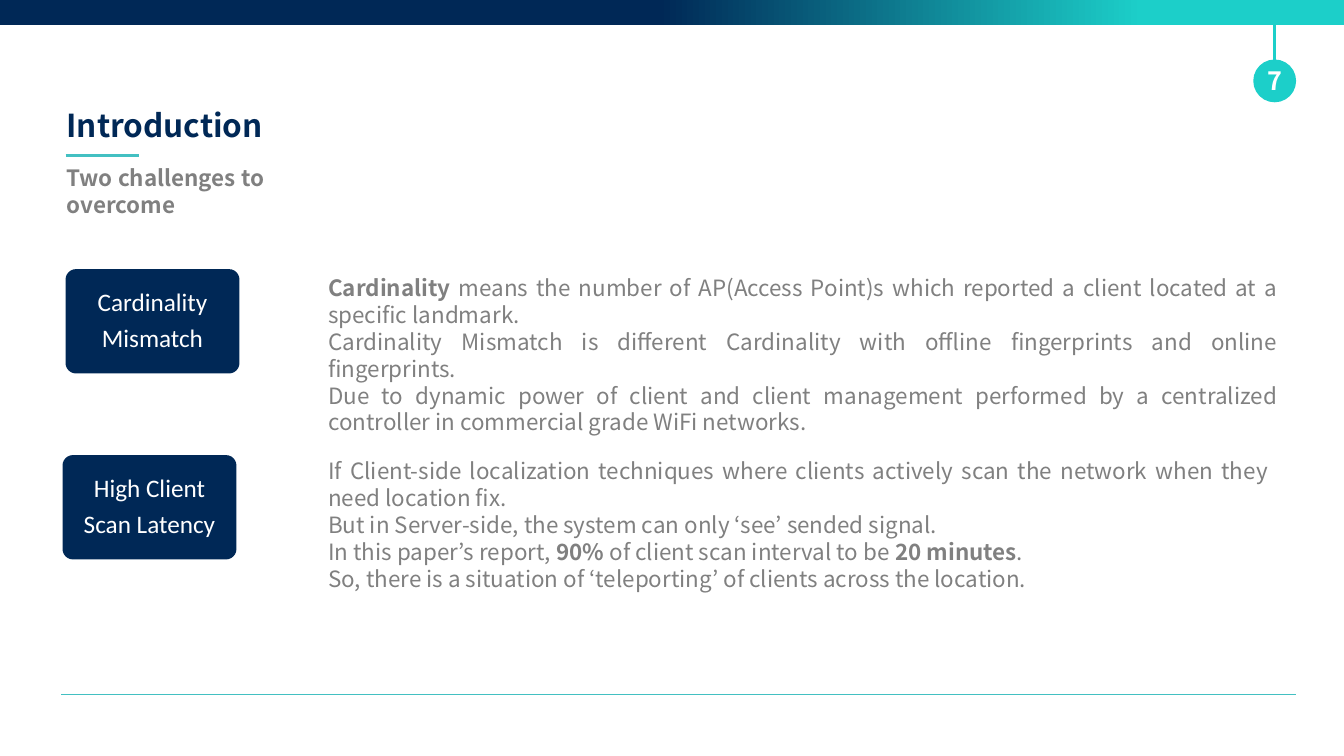
import pptx
import pptx.util
import pptx.dml.color
import pptx.enum.shapes
import pptx.enum.text
import pptx.oxml.ns
from lxml import etree

Pt = pptx.util.Pt
SHAPE = pptx.enum.shapes.MSO_SHAPE
ALIGN = pptx.enum.text.PP_ALIGN
ANCHOR = pptx.enum.text.MSO_ANCHOR
AUTOSIZE = pptx.enum.text.MSO_AUTO_SIZE

NAVY, TEAL, RULE, GRAY, WHITE = "002856", "1CCFC9", "43C0C2", "808080", "FFFFFF"
NOTO, CALIBRI = "Noto Sans CJK KR", "Calibri"

# Each paragraph is a list of (text, bold) runs
CARDINALITY = [
    [("Cardinality", True),
     (" means the number of AP(Access Point)s which reported a client "
      "located at a specific landmark.", False)],
    [("Cardinality Mismatch is different Cardinality with offline "
      "fingerprints and online fingerprints.", False)],
    [("Due to dynamic power of client and client management performed by a "
      "centralized controller in commercial grade WiFi networks.", False)],
]
LATENCY = [
    [("If Client-side localization techniques where clients actively scan "
      "the network when they need location fix.", False)],
    [("But in Server-side, the system can only ‘see’ sended signal.", False)],
    [("In this paper’s report, ", False), ("90%", True),
     (" of client scan interval to be ", False), ("20 minutes", True),
     (".", False)],
    [("So, there is a situation of ‘teleporting’ of clients across the "
      "location.", False)],
]


def rgb(color):
    return pptx.dml.color.RGBColor.from_string(color)


def place(sp, left, top, width, height):
    sp.left, sp.top, sp.width, sp.height = map(Pt, (left, top, width, height))


def write(sp, paragraphs, size, color, font=NOTO, align=ALIGN.LEFT,
          anchor=ANCHOR.TOP, insets=(7.2, 3.6, 7.2, 3.6),
          autosize=AUTOSIZE.NONE, line_spacing=None, space_after=None):
    tf = sp.text_frame
    tf.word_wrap = True
    tf.auto_size = autosize
    tf.vertical_anchor = anchor
    (tf.margin_left, tf.margin_top,
     tf.margin_right, tf.margin_bottom) = map(Pt, insets)
    for i, runs in enumerate(paragraphs):
        p = tf.add_paragraph() if i else tf.paragraphs[0]
        p.alignment = align
        if line_spacing:
            p.line_spacing = line_spacing
        if space_after:
            p.space_after = Pt(space_after)
        for text, bold in runs:
            r = p.add_run()
            r.text = text
            r.font.name = font
            r.font.size = Pt(size)
            r.font.bold = bold
            r.font.color.rgb = rgb(color)


def add_text(s, box, paragraphs, size, color, **style):
    sp = s.shapes.add_textbox(*map(Pt, box))
    write(sp, paragraphs, size, color, **style)


def add_shape(s, kind, box, fill=None):
    sp = s.shapes.add_shape(kind, *map(Pt, box))
    sp.shadow.inherit = False
    sp.line.fill.background()
    if fill:
        sp.fill.solid()
        sp.fill.fore_color.rgb = rgb(fill)
    return sp


def add_line(s, x1, y1, x2, y2, color, width):
    line = s.shapes.add_connector(pptx.enum.shapes.MSO_CONNECTOR.STRAIGHT,
                                  *map(Pt, (x1, y1, x2, y2)))
    line.line.color.rgb = rgb(color)
    line.line.width = Pt(width)
    etree.SubElement(line._element.spPr, pptx.oxml.ns.qn("a:effectLst"))


def add_top_bar(s):
    bar = add_shape(s, SHAPE.RECTANGLE, (0, 0, 1919.52, 35.28))
    bar.fill.gradient()
    bar.fill.gradient_angle = 0
    for stop, (position, color) in zip(bar.fill.gradient_stops,
                                       ((0.49, NAVY), (0.85, TEAL))):
        stop.position = position
        stop.color.rgb = rgb(color)


def add_page_number(s, number):
    add_line(s, 1820.16, 0, 1820.16, 115.2, TEAL, 3.25)
    badge = add_shape(s, SHAPE.OVAL, (1789.92, 84.96, 61.2, 61.2), TEAL)
    write(badge, [[(number, True)]], 36, WHITE,
          align=ALIGN.CENTER, anchor=ANCHOR.MIDDLE)


def add_label(s, left, top, lines):
    card = add_shape(s, SHAPE.ROUNDED_RECTANGLE, (left, top, 248.4, 149.04), NAVY)
    card.adjustments[0] = 0.1
    add_text(s, (left + 4.32, top + 4.32, 239.76, 140.4),
             [[(line, False)] for line in lines], 36, WHITE, font=CALIBRI,
             align=ALIGN.CENTER, anchor=ANCHOR.MIDDLE, insets=(10.8,) * 4,
             line_spacing=0.9, space_after=12.6)


def add_body(s, top, width, paragraphs):
    add_text(s, (454.32, top, width, 200.88), paragraphs, 32, GRAY,
             align=ALIGN.JUSTIFY, insets=(14.4, 3.6, 8.64, 3.6),
             autosize=AUTOSIZE.SHAPE_TO_FIT_TEXT)


def main():
    prs = pptx.Presentation()
    prs.slide_width, prs.slide_height = Pt(1919.52), Pt(1080)
    s = prs.slides.add_slide(prs.slide_layouts[5])

    # Heading
    title = s.shapes.title
    place(title, 87.84, 147.6, 1671.12, 61.92)
    write(title, [[("Introduction", True)]], 45, NAVY)
    add_line(s, 93.6, 222.48, 198.72, 222.48, RULE, 4.5)
    add_text(s, (87.84, 231.12, 452.16, 46.08),
             [[("Two challenges to overcome", True)]], 32, GRAY,
             autosize=AUTOSIZE.SHAPE_TO_FIT_TEXT)

    # Frame: top bar, page number, footer rule
    add_top_bar(s)
    add_page_number(s, "7")
    add_line(s, 87.84, 992.16, 1851.12, 992.16, RULE, 0.5)

    # The two challenges
    add_label(s, 93.6, 384.48, ("Cardinality", "Mismatch"))
    add_body(s, 388.08, 1379.52, CARDINALITY)
    add_label(s, 89.28, 650.16, ("High Client", "Scan Latency"))
    add_body(s, 650.16, 1366.56, LATENCY)

    prs.save("out.pptx")


if __name__ == "__main__":
    main()
